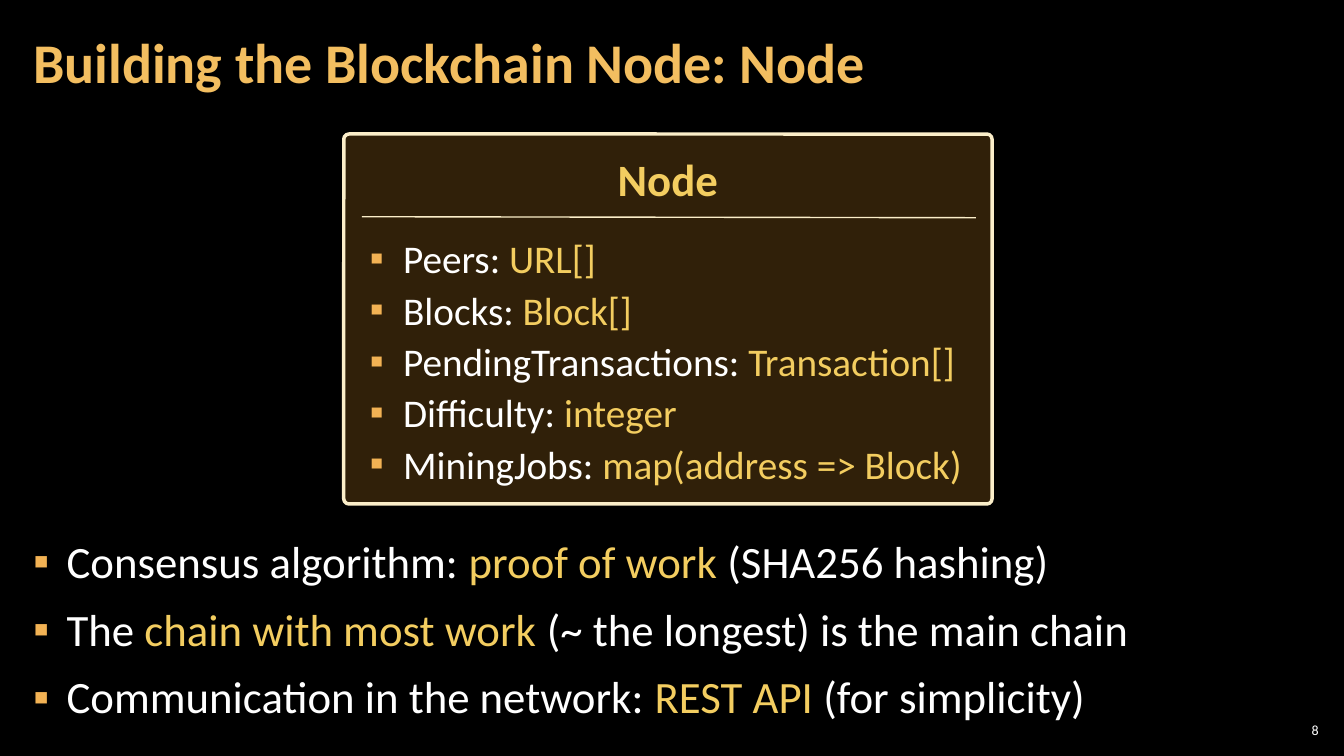
from dataclasses import dataclass

from lxml import etree
from pptx import Presentation
from pptx.dml.color import RGBColor
from pptx.enum.shapes import MSO_CONNECTOR, MSO_SHAPE
from pptx.enum.text import MSO_ANCHOR, MSO_AUTO_SIZE, PP_ALIGN
from pptx.oxml.ns import qn
from pptx.util import Inches, Pt

STRAIGHT = MSO_CONNECTOR.STRAIGHT
ROUNDED = MSO_SHAPE.ROUNDED_RECTANGLE
TOP, MIDDLE = MSO_ANCHOR.TOP, MSO_ANCHOR.MIDDLE
LEFT, CENTER, RIGHT = PP_ALIGN.LEFT, PP_ALIGN.CENTER, PP_ALIGN.RIGHT
NO_AUTOFIT = MSO_AUTO_SIZE.NONE


@dataclass(frozen=True)
class Theme:
    """Colours, font and type sizes of the slide."""
    font: str = "Calibri"
    background: str = "000000"
    text: str = "FFFFFF"
    accent: str = "F3CD60"
    title: str = "F3BE60"
    bullet: str = "F2B254"
    card: str = "F0A22E"
    border: str = "FBEEC9"
    title_size: int = 40
    body_size: int = 32
    field_size: int = 28
    number_size: int = 10


THEME = Theme()

FIELDS = [
    [("Peers: ", THEME.text), ("URL[]", THEME.accent)],
    [("Blocks: ", THEME.text), ("Block[]", THEME.accent)],
    [("PendingTransactions: ", THEME.text), ("Transaction[]", THEME.accent)],
    [("Difficulty: ", THEME.text), ("integer", THEME.accent)],
    [("MiningJobs: ", THEME.text), ("map(address => Block)", THEME.accent)],
]
PRINCIPLES = [
    [("Consensus algorithm: ", THEME.text), ("proof of work ", THEME.accent),
     ("(SHA256 hashing)", THEME.text)],
    [("The ", THEME.text), ("chain with most work ", THEME.accent),
     ("(~ the longest) is the main chain", THEME.text)],
    [("Communication in the network: ", THEME.text), ("REST API ", THEME.accent),
     ("(for simplicity)", THEME.text)],
]


def rgb(code):
    """Return the colour object for a hex code."""
    return RGBColor.from_string(code)


def place(part, box):
    """Move a part to a box given in inches."""
    part.left, part.top, part.width, part.height = map(Inches, box)


def set_frame(frame, anchor, side, end):
    """Set wrapping, anchor and insets of a text frame."""
    frame.word_wrap = True
    frame.auto_size = NO_AUTOFIT
    frame.vertical_anchor = anchor
    frame.margin_left = frame.margin_right = Inches(side)
    frame.margin_top = frame.margin_bottom = Inches(end)


def write_line(paragraph, text, size, color, align, bold=False):
    """Write a paragraph in one style."""
    paragraph.text = text
    paragraph.alignment = align
    font = paragraph.font
    font.name, font.size, font.bold = THEME.font, Pt(size), bold
    font.color.rgb = rgb(color)


def add_bullet(paragraph):
    """Give a paragraph a hanging square bullet."""
    properties = paragraph._p.get_or_add_pPr()
    properties.set("marL", str(Inches(0.33)))
    properties.set("indent", str(Inches(-0.33)))
    color = etree.SubElement(properties, qn("a:buClr"))
    etree.SubElement(color, qn("a:srgbClr"), val=THEME.bullet)
    etree.SubElement(properties, qn("a:buFont"), typeface=THEME.font)
    etree.SubElement(properties, qn("a:buChar"), char="▪")


def write_bullets(frame, items, size, before, after, spacing):
    """Write two-coloured bullet items into a text frame."""
    for index, item in enumerate(items):
        paragraph = frame.add_paragraph() if index else frame.paragraphs[0]
        add_bullet(paragraph)
        paragraph.alignment = LEFT
        paragraph.line_spacing = spacing
        paragraph.space_before = Pt(before if index else 0)
        paragraph.space_after = Pt(after)
        paragraph.font.name, paragraph.font.size = THEME.font, Pt(size)
        for text, color in item:
            run = paragraph.add_run()
            run.text = text
            run.font.color.rgb = rgb(color)


def fill_title(title, box):
    """Place and write the slide title."""
    place(title, box)
    set_frame(title.text_frame, MIDDLE, 0.12, 0.04)
    heading = title.text_frame.paragraphs[0]
    write_line(heading, "Building the Blockchain Node: Node",
               THEME.title_size, THEME.title, LEFT, True)
    heading.line_spacing = 0.9


def fill_principles(body, box):
    """Place and write the list of network principles."""
    place(body, box)
    set_frame(body.text_frame, TOP, 0.12, 0.04)
    write_bullets(body.text_frame, PRINCIPLES, THEME.body_size, 6, 6, 0.95)


def add_node_card(slide, box):
    """Draw the Node class card with its heading, rule and fields."""
    left, top, width, height = box
    parts = slide.shapes.add_group_shape().shapes

    card = parts.add_shape(ROUNDED, *map(Inches, box))
    card.adjustments[0] = 0.014
    card.shadow.inherit = False
    card.fill.solid()
    card.fill.fore_color.rgb = rgb(THEME.card)
    fill_color = card.fill._xPr.find(".//" + qn("a:srgbClr"))
    etree.SubElement(fill_color, qn("a:alpha"), val="20000")
    card.line.color.rgb = rgb(THEME.border)
    card.line.width = Pt(2.5)
    set_frame(card.text_frame, TOP, 0.1, 0.05)
    heading = card.text_frame.paragraphs[0]
    write_line(heading, "Node", THEME.body_size, THEME.accent, CENTER, True)
    heading.line_spacing = 1.2

    rule = parts.add_connector(
        STRAIGHT, Inches(left + 0.18), Inches(top + 0.82),
        Inches(left + width - 0.16), Inches(top + 0.83))
    rule.line.color.rgb = rgb(THEME.border)
    rule.line.width = Pt(1)
    etree.SubElement(rule._element.spPr, qn("a:effectLst"))

    fields = parts.add_textbox(Inches(left + 0.16), Inches(top + 0.95),
                               Inches(width - 0.09), Inches(height - 1.04))
    set_frame(fields.text_frame, TOP, 0.1, 0.05)
    write_bullets(fields.text_frame, FIELDS, THEME.field_size, 3, 0, 1.0)


def add_slide_number(slide, box):
    """Write the slide number in the corner."""
    number = slide.shapes.add_textbox(*map(Inches, box))
    set_frame(number.text_frame, MIDDLE, 0.04, 0.04)
    write_line(number.text_frame.paragraphs[0], "8",
               THEME.number_size, THEME.text, RIGHT)


def main():
    """Build and save the slide."""
    deck = Presentation()
    deck.slide_width, deck.slide_height = Inches(13.33), Inches(7.5)
    slide = deck.slides.add_slide(deck.slide_layouts[1])
    slide.background.fill.solid()
    slide.background.fill.fore_color.rgb = rgb(THEME.background)
    fill_title(slide.shapes.title, (0.21, 0.04, 10.47, 1.21))
    fill_principles(slide.placeholders[1], (0.21, 5.29, 12.91, 1.96))
    add_node_card(slide, (3.41, 1.33, 6.43, 3.67))
    add_slide_number(slide, (12.65, 7.14, 0.47, 0.21))
    deck.save("out.pptx")


if __name__ == "__main__":
    main()
